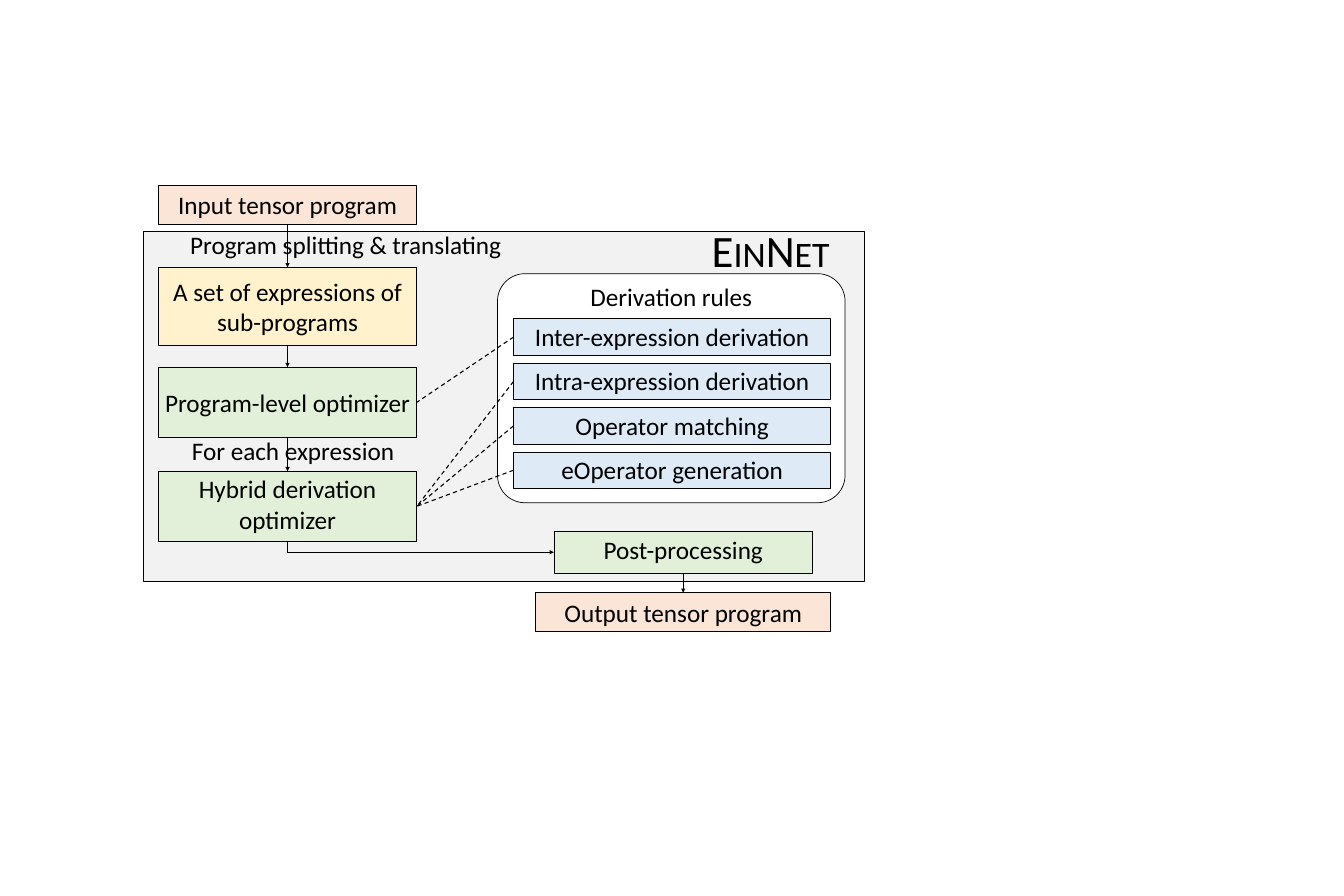
from lxml.etree import SubElement
from pptx import Presentation
from pptx.dml.color import RGBColor
from pptx.enum.dml import MSO_LINE
from pptx.enum.shapes import MSO_CONNECTOR as CONN, MSO_SHAPE as SHAPE
from pptx.enum.text import MSO_ANCHOR as ANCHOR, MSO_AUTO_SIZE as AUTO, PP_ALIGN as ALIGN
from pptx.oxml.ns import qn
from pptx.util import Cm, Pt

BLACK, WHITE, GREY = "000000", "FFFFFF", "F2F2F2"
PEACH, YELLOW, GREEN, BLUE = "FBE5D6", "FFF2CC", "E2F0D9", "DEEBF7"
TOP, LEFT, BOTTOM, RIGHT = range(4)
COLUMN_X, COLUMN_W = 7.77, 12.7
RULES = ["Inter-expression derivation", "Intra-expression derivation",
         "Operator matching", "eOperator generation"]


def rgb(color):
    """Turn a hex string into a colour."""
    return RGBColor.from_string(color)


def write(sp, text, size=35.1, align=ALIGN.CENTER, anchor=ANCHOR.MIDDLE, wrap=True, small_caps=False):
    """Put one formatted paragraph into a shape."""
    tf = sp.text_frame
    tf.word_wrap = wrap
    tf.vertical_anchor = anchor
    p = tf.paragraphs[0]
    p.alignment = align
    r = p.add_run()
    r.text = text
    r.font.name, r.font.size = "Calibri", Pt(size)
    r.font.color.rgb = rgb(BLACK)
    if small_caps:
        r.font._element.set("cap", "small")


def box(s, x, y, w, h, fill, text="", shape=SHAPE.RECTANGLE, line=1, **fmt):
    """Add an outlined, filled box with optional text."""
    sp = s.shapes.add_shape(shape, Cm(x), Cm(y), Cm(w), Cm(h))
    sp.shadow.inherit = False
    sp.fill.solid()
    sp.fill.fore_color.rgb = rgb(fill)
    sp.line.color.rgb = rgb(BLACK)
    sp.line.width = Pt(line)
    if text:
        write(sp, text, **fmt)
    return sp


def label(s, x, y, w, h, text, **fmt):
    """Add a free-standing single-line label."""
    sp = s.shapes.add_textbox(Cm(x), Cm(y), Cm(w), Cm(h))
    write(sp, text, align=ALIGN.LEFT, anchor=ANCHOR.TOP, wrap=False, **fmt)
    sp.text_frame.auto_size = AUTO.SHAPE_TO_FIT_TEXT


def style_line(c, dashed=False):
    """Make a connector either a dashed line or a solid arrow."""
    c.line.color.rgb = rgb(BLACK)
    c.line.width = Pt(1.5)
    if dashed:
        c.line.dash_style = MSO_LINE.DASH
    else:
        SubElement(c.line._get_or_add_ln(), qn("a:tailEnd"), type="triangle")
    SubElement(c._element.spPr, qn("a:effectLst"))


def join(s, start, start_side, end, end_side, dashed=False):
    """Join the sides of two boxes with a straight connector."""
    c = s.shapes.add_connector(CONN.STRAIGHT, 0, 0, 0, 0)
    c.begin_connect(start, start_side)
    c.end_connect(end, end_side)
    style_line(c, dashed)


def elbow(s, start, end):
    """Draw an arrow down from one box and right into another."""
    x1, y1 = start.left + start.width // 2, start.top + start.height
    x2, y2 = end.left, end.top + end.height // 2
    cx, cy, dx, dy = (x1 + x2) // 2, (y1 + y2) // 2, (x2 - x1) // 2, (y2 - y1) // 2
    c = s.shapes.add_connector(CONN.ELBOW, cx + dy, cy - dx, cx - dy, cy + dx)
    spPr = c._element.spPr
    spPr.find(qn("a:xfrm")).set("rot", "16200000")
    spPr.find(qn("a:prstGeom")).set("prst", "bentConnector2")
    style_line(c)


def main():
    """Build the optimizer overview slide."""
    prs = Presentation()
    prs.slide_width, prs.slide_height = Cm(66), Cm(44)
    s = prs.slides.add_slide(prs.slide_layouts[6])

    box(s, 7.04, 11.38, 35.41, 17.17, GREY)
    source = box(s, COLUMN_X, 9.09, COLUMN_W, 1.91, PEACH, "Input tensor program")
    expressions = box(s, COLUMN_X, 13.13, COLUMN_W, 3.81, YELLOW, "A set of expressions of sub-programs")
    program = box(s, COLUMN_X, 18.03, COLUMN_W, 3.45, GREEN, "Program-level optimizer")
    hybrid = box(s, COLUMN_X, 23.14, COLUMN_W, 3.45, GREEN, "Hybrid derivation optimizer",
                 anchor=ANCHOR.TOP)
    post = box(s, 27.2, 26.09, COLUMN_W, 2.06, GREEN, "Post-processing", anchor=ANCHOR.TOP)
    output = box(s, 26.31, 29.11, 14.48, 1.91, PEACH, "Output tensor program")

    group = box(s, 24.43, 13.44, 17.07, 11.25, WHITE, "Derivation rules",
                shape=SHAPE.ROUNDED_RECTANGLE, anchor=ANCHOR.TOP)
    group.adjustments[0] = 0.12
    group.text_frame.margin_top = 0
    for i, text in enumerate(RULES):
        rule = box(s, 25.22, 15.65 + 2.18 * i, 15.57, 1.8, BLUE, text, line=0.75,
                   anchor=ANCHOR.TOP, wrap=False)
        join(s, rule, LEFT, hybrid if i else program, RIGHT, dashed=True)

    steps = [source, expressions, program, hybrid]
    for start, end in [*zip(steps, steps[1:]), (post, output)]:
        join(s, start, BOTTOM, end, TOP)
    elbow(s, hybrid, post)

    label(s, 9.09, 11.13, 15.98, 1.75, "Program splitting & translating")
    label(s, 9.17, 21.26, 10.57, 1.75, "For each expression")
    label(s, 34.7, 10.8, 6.38, 2.92, "EinNet", size=62.4, small_caps=True)
    prs.save("out.pptx")


if __name__ == "__main__":
    main()
